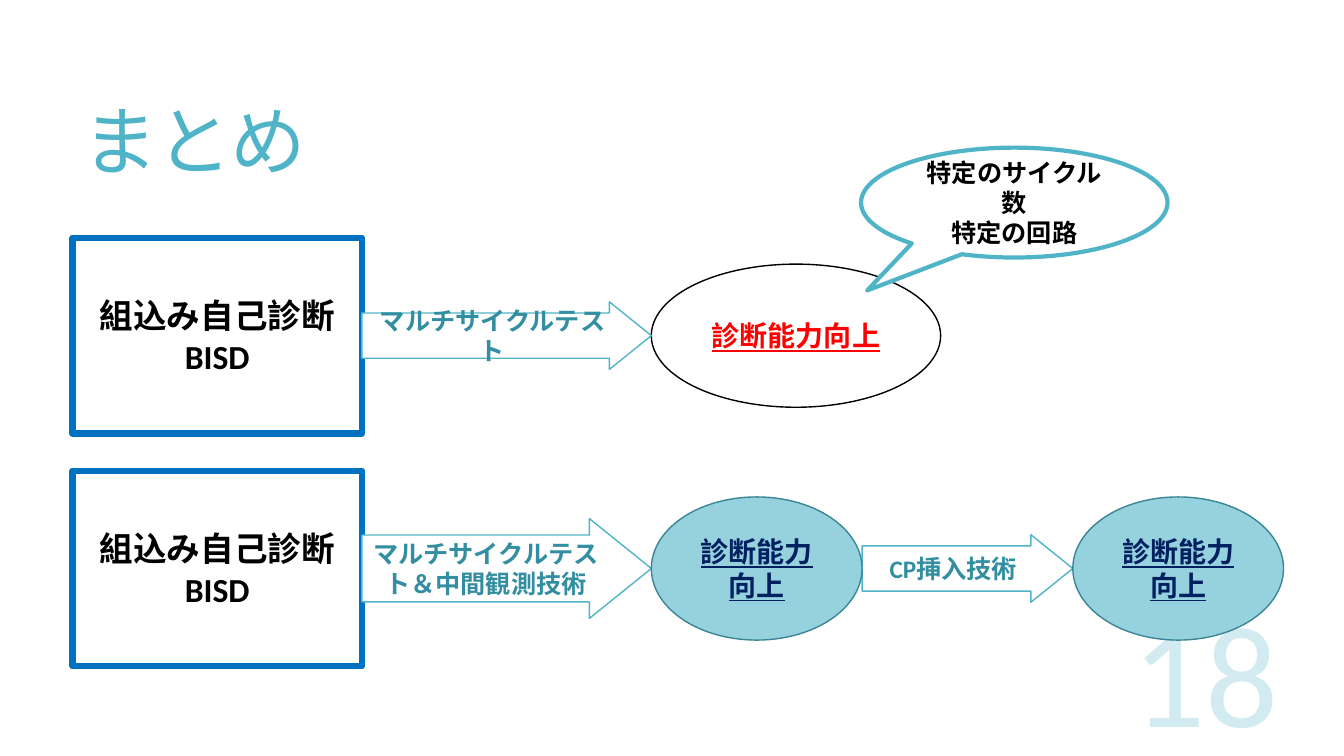
from pptx import Presentation
from pptx.dml.color import RGBColor
from pptx.enum.shapes import MSO_SHAPE
from pptx.enum.text import MSO_ANCHOR, PP_ALIGN
from pptx.oxml.ns import qn
from pptx.util import Inches, Pt
from lxml.etree import SubElement

FONT = "Calibri"
WHITE = RGBColor(0xFF, 0xFF, 0xFF)
BLACK = RGBColor(0x00, 0x00, 0x00)
RED = RGBColor(0xFF, 0x00, 0x00)
NAVY = RGBColor(0x00, 0x20, 0x60)
BLUE = RGBColor(0x00, 0x70, 0xC0)
TEAL = RGBColor(0x50, 0xB4, 0xC8)
DARK_TEAL = RGBColor(0x32, 0x8E, 0xA0)
TEAL_EDGE = RGBColor(0x3B, 0x85, 0x94)
PALE_TEAL = RGBColor(0x96, 0xD2, 0xDE)

MARGIN = 0.72
STEP = 2.87
SHORT_STEP = 2.09
BOX_HEIGHT = 1.94
ELLIPSE_HEIGHT = 1.42
ARROW_ADJUSTMENTS = (0.67, 0.62)


def add_run(paragraph, text, size, color, bold=False, underline=False):
    run = paragraph.add_run()
    run.text = text
    run.font.name = FONT
    run.font.size = Pt(size)
    run.font.bold = bold
    run.font.underline = underline
    run.font.color.rgb = color
    return run


def add_label_box(slide, left, top, width, height, anchor):
    text_box = slide.shapes.add_textbox(
        Inches(left), Inches(top), Inches(width), Inches(height))
    text_box.text_frame.word_wrap = True
    text_box.text_frame.vertical_anchor = anchor
    return text_box.text_frame


def add_node(slide, kind, left, middle, width, height, lines, size, color,
             line_color, line_width, fill=WHITE, underline=False, adjustments=()):
    shape = slide.shapes.add_shape(
        kind, Inches(left), Inches(middle - height / 2), Inches(width), Inches(height))
    shape.shadow.inherit = False
    for index, value in enumerate(adjustments):
        shape.adjustments[index] = value
    shape.fill.solid()
    shape.fill.fore_color.rgb = fill
    shape.line.color.rgb = line_color
    shape.line.width = Pt(line_width)
    frame = shape.text_frame
    frame.word_wrap = True
    frame.vertical_anchor = MSO_ANCHOR.MIDDLE
    for index, text in enumerate(lines):
        paragraph = frame.add_paragraph() if index else frame.paragraphs[0]
        paragraph.alignment = PP_ALIGN.CENTER
        add_run(paragraph, text, size, color, True, underline)


def add_title(slide, left, top, width, height):
    frame = add_label_box(slide, left, top, width, height, MSO_ANCHOR.MIDDLE)
    paragraph = frame.paragraphs[0]
    paragraph.line_spacing = 0.85
    run = add_run(paragraph, "まとめ", 54, TEAL)
    run.font._element.set("spc", "-120")


def add_page_number(slide, left, top, width, height):
    frame = add_label_box(slide, left, top, width, height, MSO_ANCHOR.BOTTOM)
    frame.margin_bottom = 0
    paragraph = frame.paragraphs[0]
    paragraph.alignment = PP_ALIGN.RIGHT
    run = add_run(paragraph, "18", 103, TEAL)
    color = run.font._element.find(".//" + qn("a:srgbClr"))
    SubElement(color, qn("a:alpha"), val="25000")


def add_self_test(slide, left, middle):
    add_node(slide, MSO_SHAPE.RECTANGLE, left, middle, STEP, BOX_HEIGHT,
             ["組込み自己診断", "BISD"], 24, BLACK, BLUE, 4.5)


def add_technique(slide, left, middle, width, height, text):
    add_node(slide, MSO_SHAPE.RIGHT_ARROW, left, middle, width, height, [text],
             18, DARK_TEAL, TEAL, 1, adjustments=ARROW_ADJUSTMENTS)


def add_improvement(slide, left, middle, width, color, line_color, fill):
    add_node(slide, MSO_SHAPE.OVAL, left, middle, width, ELLIPSE_HEIGHT,
             ["診断能力向上"], 20, color, line_color, 1, fill, True)


def add_basic_flow(slide, left, middle):
    add_self_test(slide, left, middle)
    add_improvement(slide, left + 2 * STEP, middle, STEP, RED, BLACK, WHITE)
    add_technique(slide, left + STEP, middle, STEP, 0.67, "マルチサイクルテスト")
    add_node(slide, MSO_SHAPE.OVAL_CALLOUT, left + 7.82, middle - 1.32, 3.04, 1.09,
             ["特定のサイクル数", "特定の回路"], 18, BLACK, TEAL, 3,
             adjustments=(-0.48, 0.8))


def add_extended_flow(slide, left, middle):
    add_self_test(slide, left, middle)
    add_technique(slide, left + STEP, middle, STEP, 0.99,
                  "マルチサイクルテスト＆中間観測技術")
    first_result = left + 2 * STEP
    add_technique(slide, first_result + SHORT_STEP, middle, SHORT_STEP, 0.67, "CP挿入技術")
    for result_left in (first_result, first_result + 2 * SHORT_STEP):
        add_improvement(slide, result_left, middle, SHORT_STEP, NAVY, TEAL_EDGE, PALE_TEAL)


def main():
    presentation = Presentation()
    presentation.slide_width = Inches(13.33)
    presentation.slide_height = Inches(7.5)
    slide = presentation.slides.add_slide(presentation.slide_layouts[6])
    add_title(slide, MARGIN, 0.55, 11.78, 1.81)
    add_page_number(slide, 9.58, 6.43, 3.2, 1.07)
    add_extended_flow(slide, MARGIN, 5.64)
    add_basic_flow(slide, MARGIN, 3.33)
    presentation.save("out.pptx")


if __name__ == "__main__":
    main()
